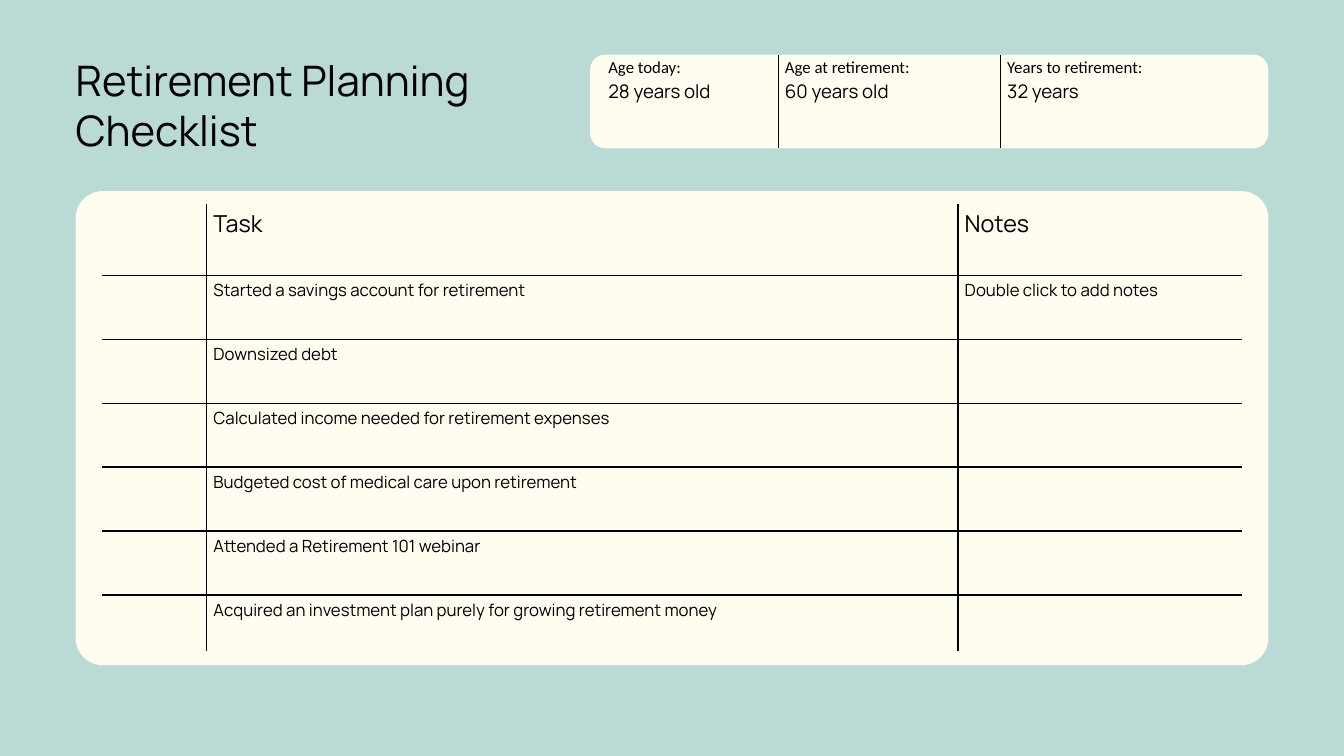
from lxml import etree
from pptx import Presentation
from pptx.dml.color import RGBColor
from pptx.enum.shapes import MSO_SHAPE
from pptx.oxml.ns import qn
from pptx.util import Pt

ROUNDED = MSO_SHAPE.ROUNDED_RECTANGLE
MINT = RGBColor(0xBA, 0xDA, 0xD5)
CREAM = RGBColor(0xFF, 0xFC, 0xF0)
BLACK = RGBColor(0, 0, 0)
RULE_WIDTH = 1.5

# Content
TITLE = "Retirement Planning Checklist"
AGES = [
    ("Age today:", "28 years old"),
    ("Age at retirement:", "60 years old"),
    ("Years to retirement:", "32 years"),
]
HEADINGS = ("", "Task", "Notes")
TASKS = [
    ("Started a savings account for retirement", "Double click to add notes"),
    ("Downsized debt", ""),
    ("Calculated income needed for retirement expenses", ""),
    ("Budgeted cost of medical care upon retirement", ""),
    ("Attended a Retirement 101 webinar", ""),
    ("Acquired an investment plan purely for growing retirement money", ""),
]

# Text formats
TITLE_FONT = {"name": "Manrope", "size": Pt(45)}
HEADING_FONT = {"name": "Manrope", "size": Pt(25)}
TASK_FONT = {"name": "Manrope", "size": Pt(18)}
LABEL_FONT = {"name": "Calibri", "size": Pt(18)}
VALUE_FONT = {"name": "Manrope", "size": Pt(20)}

# Layout in points: left, top, width, height, corner radius
PANELS = [
    (81, 204.75, 1278, 508, 29),
    (632.25, 58.5, 726.75, 100.5, 16.25),
]
TITLE_BOX = (81, 58.5, 521, 108)
AGE_PLACE, AGE_COLUMNS, AGE_ROWS = (644.5, 58.5), (189.25, 238.25, 274.5), (100.5,)
TASK_PLACE, TASK_COLUMNS = (109, 218.75), (112.5, 805, 304.5)
TASK_ROWS = (76.25, *[68.5] * 5, 60.5)


def write(frame, lines):
    """Put one (text, format) pair in each paragraph."""
    for index, (text, font) in enumerate(lines):
        para = frame.add_paragraph() if index else frame.paragraphs[0]
        span = para.add_run()
        span.text = text
        span.font.color.rgb = BLACK
        for name, value in font.items():
            setattr(span.font, name, value)


def set_borders(cell, visible):
    """Rule the sides that are visible; clear the others."""
    properties = cell._tc.get_or_add_tcPr()
    for index, (side, shown) in enumerate(visible.items()):
        line = etree.Element(qn(f"a:ln{side}"), w=str(Pt(RULE_WIDTH) if shown else 0))
        if shown:
            fill = etree.SubElement(line, qn("a:solidFill"))
            etree.SubElement(fill, qn("a:srgbClr"), val=str(BLACK))
        else:
            etree.SubElement(line, qn("a:noFill"))
        properties.insert(index, line)


def add_grid(page, place, columns, rows, content):
    """Add a clear table with inner rules only; each cell is a list of lines."""
    box = (*place, sum(columns), sum(rows))
    table = page.shapes.add_table(len(rows), len(columns), *map(Pt, box)).table
    table.first_row = table.horz_banding = False
    for column, width in zip(table.columns, columns):
        column.width = Pt(width)
    for row, height in zip(table.rows, rows):
        row.height = Pt(height)
    for r, cells in enumerate(content):
        for c, lines in enumerate(cells):
            cell = table.cell(r, c)
            cell.fill.background()
            set_borders(cell, {
                "L": c > 0, "R": c < len(columns) - 1,
                "T": r > 0, "B": r < len(rows) - 1,
            })
            write(cell.text_frame, [line for line in lines if line[0]])


deck = Presentation()
deck.slide_width, deck.slide_height = Pt(1440), Pt(810)
page = deck.slides.add_slide(deck.slide_layouts[6])
page.background.fill.solid()
page.background.fill.fore_color.rgb = MINT

# Panels behind the tables
for *box, radius in PANELS:
    panel = page.shapes.add_shape(ROUNDED, *map(Pt, box))
    panel.adjustments[0] = radius / min(box[2:])
    panel.shadow.inherit = False
    panel.fill.solid()
    panel.fill.fore_color.rgb = CREAM
    panel.line.fill.background()

# Checklist
checklist = [[[(text, HEADING_FONT)] for text in HEADINGS]]
checklist += [[[(text, TASK_FONT)] for text in ("", *task)] for task in TASKS]
add_grid(page, TASK_PLACE, TASK_COLUMNS, TASK_ROWS, checklist)

# Ages
ages = [[[(label, LABEL_FONT), (value, VALUE_FONT)] for label, value in AGES]]
add_grid(page, AGE_PLACE, AGE_COLUMNS, AGE_ROWS, ages)

# Title
frame = page.shapes.add_textbox(*map(Pt, TITLE_BOX)).text_frame
frame.word_wrap = True
for side in ("left", "top", "right", "bottom"):
    setattr(frame, f"margin_{side}", 0)
write(frame, [(TITLE, TITLE_FONT)])
frame.paragraphs[0].line_spacing = Pt(54)

deck.save("out.pptx")
